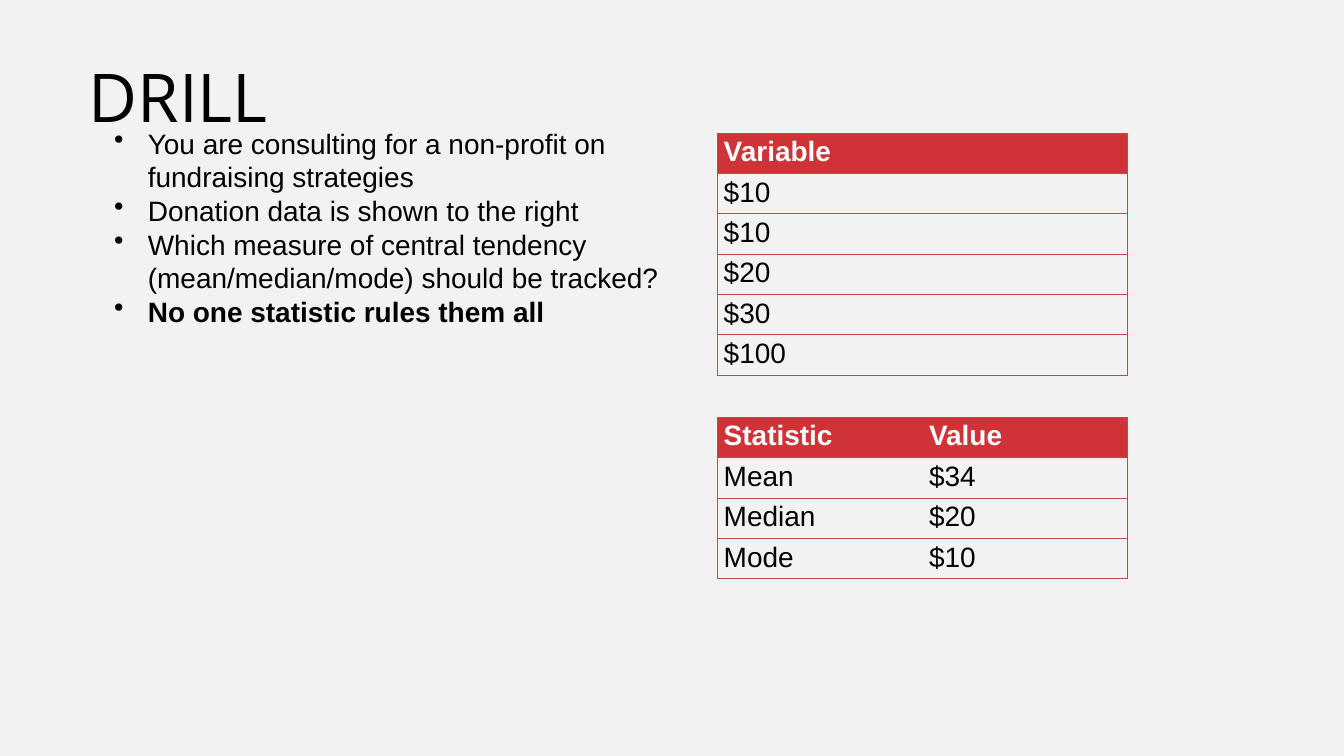
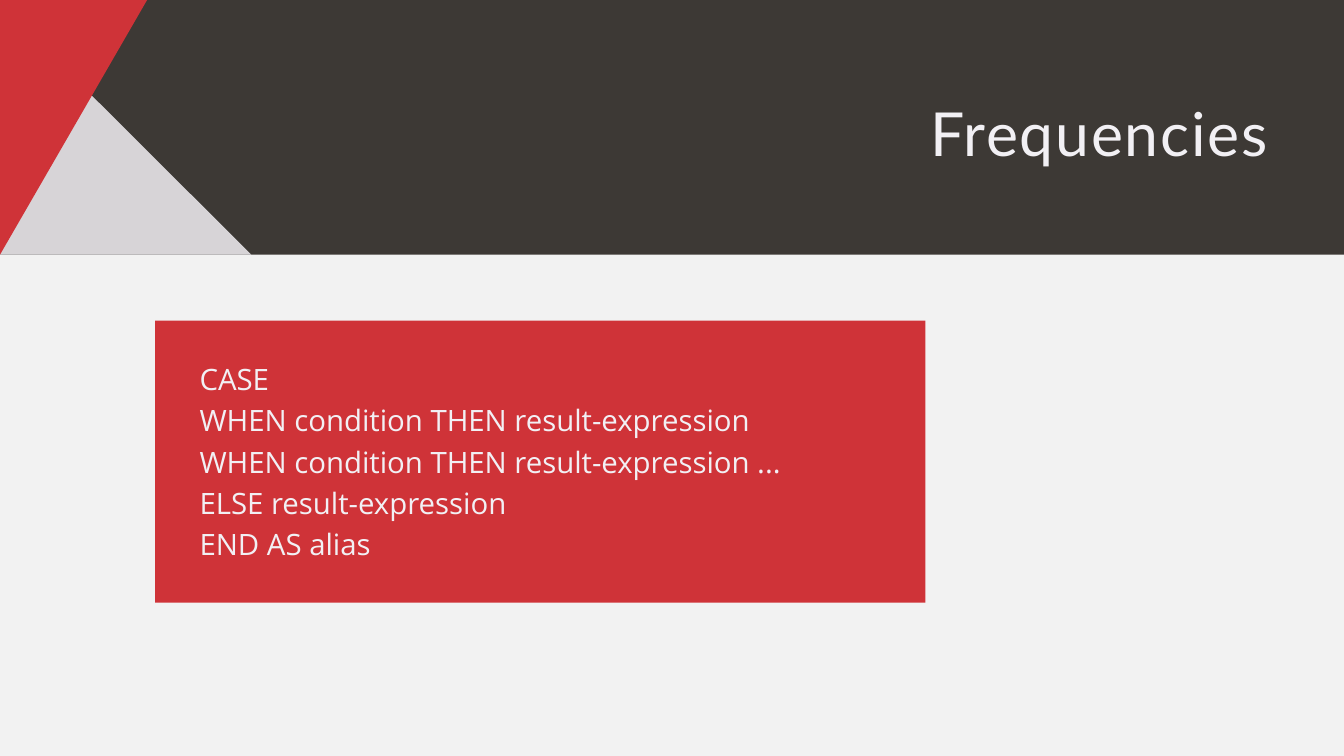
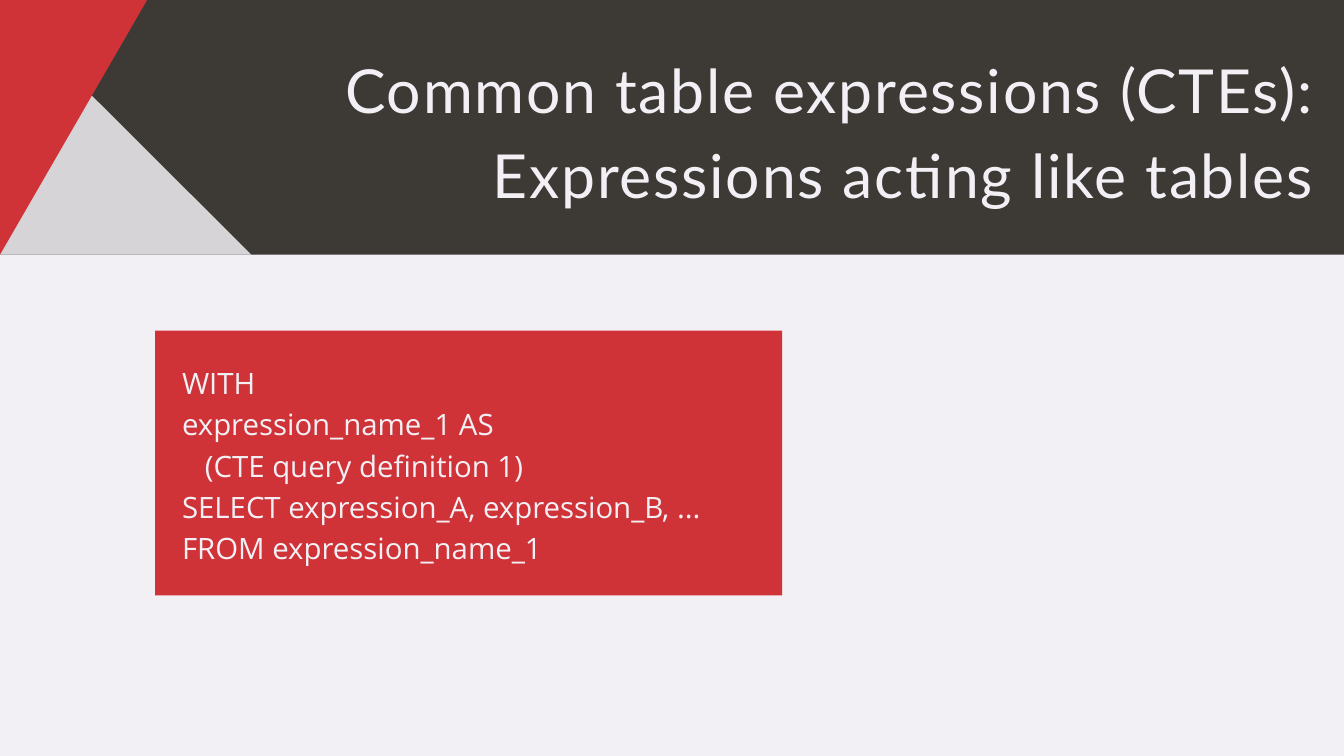
from pptx import Presentation
from pptx import util as u
from pptx.dml.color import RGBColor
from pptx.enum import shapes, text
from pptx.oxml.ns import qn
from lxml import etree

HUES = {"red": "CF3338", "dark": "3D3935", "pale": "F2F0F4", "grey": "F2F2F2",
        "rule": "BF4C48", "black": "000000", "white": "FFFFFF"}
RGB = {name: RGBColor.from_string(code) for name, code in HUES.items()}


def write(frame, lines, face, size, hue, lead=None, bold=False, right=False, bullet=False, spc=0):
    frame.word_wrap = True
    for i, line in enumerate(lines):
        par = frame.paragraphs[0] if i == 0 else frame.add_paragraph()
        par.text = line
        props = par._p.get_or_add_pPr()
        if lead:
            par.line_spacing = u.Pt(lead)
        if right:
            par.alignment = text.PP_ALIGN.RIGHT
        if bullet:
            props.set("marL", str(u.Inches(0.88)))
            props.set("indent", str(u.Inches(-0.5)))
            etree.SubElement(props, qn("a:buChar")).set("char", "•")
        par.font.name, par.font.size, par.font.bold = face, u.Pt(size), bold
        par.font.color.rgb = RGB[hue]
        if spc:
            props.get_or_add_defRPr().set("spc", str(spc))


def place(slide, at, lines, *look, **more):
    frame = slide.shapes.add_textbox(*map(u.Inches, at)).text_frame
    frame.margin_left = frame.margin_top = frame.margin_right = frame.margin_bottom = 0
    write(frame, lines, *look, **more)
    return frame


deck = Presentation()
deck.slide_width, deck.slide_height = u.Inches(20), u.Inches(11.25)
blank = deck.slide_layouts[6]

drill = deck.slides.add_slide(blank)
drill.background.fill.solid()
drill.background.fill.fore_color.rgb = RGB["grey"]
place(drill, (1.32, 0.63, 3.5, 1.34), ["DRILL"], "Open Sans", 72, "black", lead=100.8)
notes = place(drill, (1.32, 1.88, 9.01, 3.03), [
    "You are consulting for a non-profit on fundraising strategies",
    "Donation data is shown to the right",
    "Which measure of central tendency (mean/median/mode) should be tracked?",
    "No one statistic rules them all",
], "Arial", 30, "black", bullet=True)
notes.paragraphs[-1].font.bold = True

grids = [
    (1.98, [["Variable"], ["$10"], ["$10"], ["$20"], ["$30"], ["$100"]]),
    (6.21, [["Statistic", "Value"], ["Mean", "$34"], ["Median", "$20"], ["Mode", "$10"]]),
]
for top, rows in grids:
    wide = len(rows[0])
    grid = drill.shapes.add_table(len(rows), wide, u.Inches(10.67), u.Inches(top),
                                  u.Inches(6.11), u.Inches(0.6 * len(rows))).table
    grid.horz_banding = False
    for r, row in enumerate(rows):
        for c, word in enumerate(row):
            cell = grid.cell(r, c)
            head = r == 0
            write(cell.text_frame, [word], "Arial", 30, "white" if head else "black", bold=head)
            props = cell._tc.get_or_add_tcPr()
            sides = {"L": c == 0, "R": c == wide - 1, "T": True, "B": True}
            for side, shown in sides.items():
                edge = etree.SubElement(props, qn("a:ln" + side), w=str(u.Pt(0.75)))
                if shown:
                    ink = etree.SubElement(edge, qn("a:solidFill"))
                    etree.SubElement(ink, qn("a:srgbClr"), val=HUES["rule"])
                else:
                    etree.SubElement(edge, qn("a:noFill"))
            if head:
                cell.fill.solid()
                cell.fill.fore_color.rgb = RGB["red"]
            else:
                cell.fill.background()

topics = [
    ("grey", (6.59, 1.24, 12.28, 1.23), ["Frequencies"],
     (2.31, 4.77, 11.46, 4.2), (2.97, 5.29, 10.5, 3.01),
     ["CASE",
      "WHEN condition THEN result-expression",
      "WHEN condition THEN result-expression ...",
      "ELSE result-expression",
      "END AS alias"]),
    ("pale", (2.31, 0.61, 17.25, 2.49),
     ["Common table expressions (CTEs):", "Expressions acting like tables"],
     (2.31, 4.92, 9.33, 3.94), (2.71, 5.35, 8.77, 3.01),
     ["WITH",
      "expression_name_1 AS",
      "   (CTE query definition 1)",
      "SELECT expression_A, expression_B, ...",
      "FROM expression_name_1"]),
]
band = (-0.25, 0, 20.25, 3.79)
peaks = [("pale", [(3.74, 3.79), (0, 3.79), (0, 0.06)]),
         ("red", [(2.31, -0.21), (0, 3.79), (-2.31, -0.21)])]

for back, spot, title, panel, area, code in topics:
    slide = deck.slides.add_slide(blank)
    slide.background.fill.solid()
    slide.background.fill.fore_color.rgb = RGB[back]
    forms = []
    for hue, at in (("dark", band), ("red", panel)):
        box = slide.shapes.add_shape(shapes.MSO_SHAPE.RECTANGLE, *map(u.Inches, at))
        forms.append((hue, box))
    for hue, points in peaks:
        dots = [(u.Inches(x), u.Inches(y)) for x, y in points]
        path = slide.shapes.build_freeform(*dots[0])
        path.add_line_segments(dots[1:], close=True)
        forms.append((hue, path.convert_to_shape()))
    for hue, form in forms:
        form.shadow.inherit = False
        form.fill.solid()
        form.fill.fore_color.rgb = RGB[hue]
        form.line.fill.background()
        if hue == "pale":
            tint = form._element.spPr.find(".//" + qn("a:srgbClr"))
            etree.SubElement(tint, qn("a:alpha"), val="85000")
    place(slide, spot, title, "Lato", 65, "pale", lead=91, right=True, spc=190)
    place(slide, area, code, "Open Sans", 31.5, "pale", lead=44.1)

deck.save("out.pptx")
